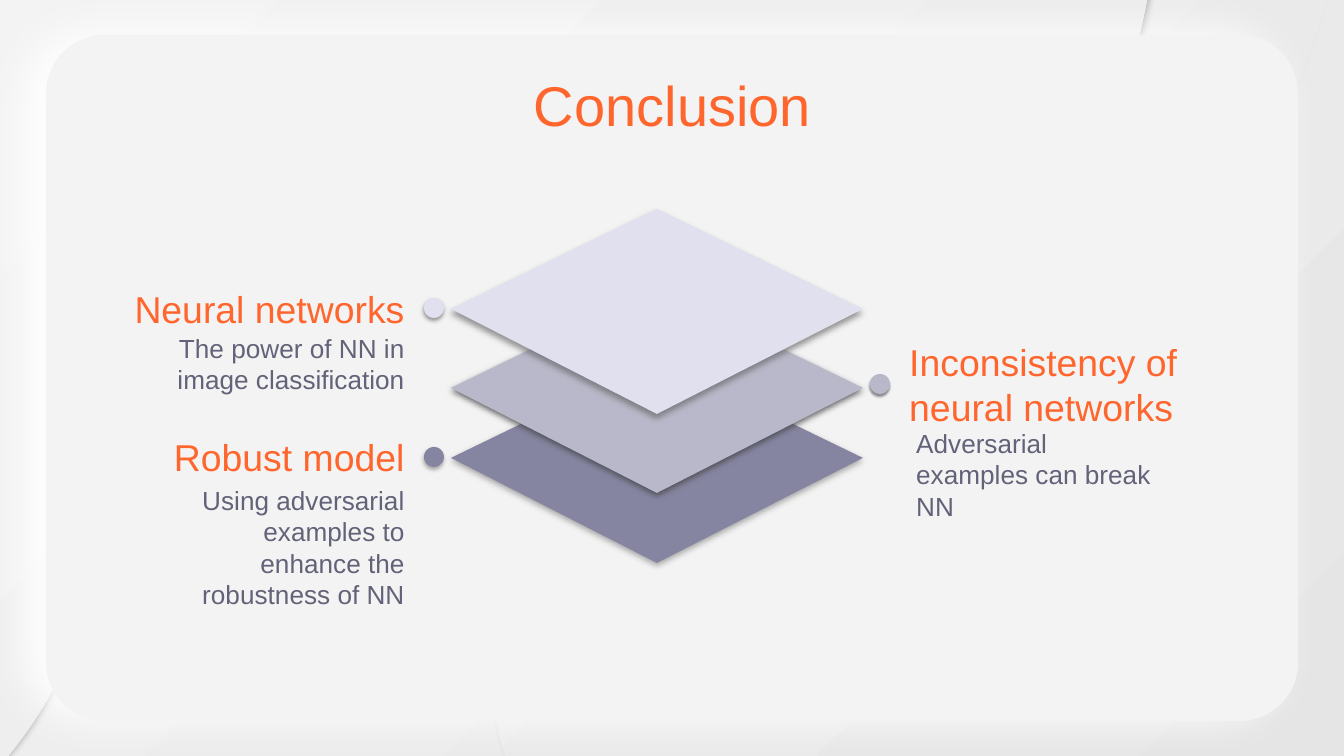
from lxml import etree
from pptx import Presentation, util as u
from pptx.dml.color import RGBColor
from pptx.enum import shapes, text
from pptx.oxml.ns import qn

PX = 914400 / 134.4
ORANGE, GREY = "FF662E", "626279"
GRADIENT = ["F3F3F3", "E5E5E5"]
LEFT, CENTER, RIGHT = text.PP_ALIGN.LEFT, text.PP_ALIGN.CENTER, text.PP_ALIGN.RIGHT
TOP, MIDDLE = text.MSO_ANCHOR.TOP, text.MSO_ANCHOR.MIDDLE

TITLE = ("Conclusion", (108, 57, 1129, 93))
HEADINGS = [
    ("Neural networks", (101, 294, 317, 30), RIGHT),
    ("Robust model", (144, 442, 274, 30), RIGHT),
    ("Inconsistency of neural networks", (896, 369, 348, 30), LEFT),
]
DETAILS = [
    ("The power of NN in image classification", (144, 319, 274, 93), RIGHT),
    ("Using adversarial examples to enhance the robustness of NN", (144, 471, 274, 93), RIGHT),
    ("Adversarial examples can break NN", (903, 414, 274, 86), LEFT),
]
LAYERS = [
    {"color": "8585A1", "top": 358, "dot": (424, 447),
     "shade": ("434343", 43, 3.4, 1.5, 98), "dot_shade": ("434343", 43, 2.2, 1.5, 100)},
    {"color": "B8B8CA", "top": 288, "dot": (870, 374),
     "shade": ("434343", 78, 3.4, 1.5, 101), "dot_shade": ("434343", 58, 1.1, 1.5, 94)},
    {"color": "E0E0EE", "top": 209, "dot": (424, 298),
     "shade": ("666666", 68, 3.4, 2.2, 101), "dot_shade": ("666666", 68, 2.2, 1.5, 100)},
]
DIAMOND = [(657, 0), (451, 100), (657, 205), (863, 100)]
DOT = 20
WAVE = [
    [(1239, 176)],
    [(1146, 274), (989, 290), (1077, 176)],
    [(1126, 112), (1146, 20), (1154, -46)],
    [(0, -46)],
    [(0, 766)],
    [(23, 738), (65, 688), (91, 593)],
    [(171, 343), (366, 333), (444, 425)],
    [(531, 528), (418, 790), (613, 876)],
    [(1344, 876)],
    [(1344, -46)],
    [(1339, -46)],
    [(1329, 9), (1304, 109), (1239, 176)],
]


def px(value):
    return u.Emu(round(value * PX))


def rgb(color):
    return RGBColor.from_string(color)


def apply(target, values):
    for name, value in values.items():
        setattr(target, name, value)


def place(shape, area):
    apply(shape, dict(zip(("left", "top", "width", "height"), map(px, area))))


def fill_gradient(fill):
    fill.gradient()
    fill.gradient_angle = 315
    for stop, color in zip(fill.gradient_stops, GRADIENT):
        stop.color.rgb = rgb(color)


def finish(shape, shade, color=None):
    shape.line.fill.background()
    if color:
        shape.fill.solid()
        shape.fill.fore_color.rgb = rgb(color)
    else:
        fill_gradient(shape.fill)
    shape.shadow.inherit = False
    tint, alpha, blur, distance, angle = shade
    effects = shape.element.spPr.find(qn("a:effectLst"))
    shadow = etree.SubElement(effects, qn("a:outerShdw"), blurRad=str(u.Pt(blur)),
                              dist=str(u.Pt(distance)), dir=str(angle * 60000),
                              algn="bl", rotWithShape="0")
    ink = etree.SubElement(shadow, qn("a:srgbClr"), val=tint)
    etree.SubElement(ink, qn("a:alpha"), val=str(alpha * 1000))


def outline(page, points):
    builder = page.shapes.build_freeform(*points[0], scale=PX)
    builder.add_line_segments(points[1:], close=True)
    return builder.convert_to_shape()


def curved_outline(page, segments):
    ends = [segment[-1] for segment in segments]
    left, top = map(min, zip(*ends))
    shape = outline(page, ends)
    lines = list(shape.element.iter(qn("a:lnTo")))
    for line, segment in zip(lines, segments[1:]):
        if len(segment) == 1:
            continue
        curve = etree.Element(qn("a:cubicBezTo"))
        for x, y in segment:
            etree.SubElement(curve, qn("a:pt"), x=str(x - left), y=str(y - top))
        line.getparent().replace(line, curve)
    return shape


def write(box, words, area, align, anchor, size, color, after=0):
    place(box, area)
    frame = box.text_frame
    inset = u.Inches(0.1)
    apply(frame, {"word_wrap": True, "auto_size": text.MSO_AUTO_SIZE.NONE,
                  "vertical_anchor": anchor, "margin_left": inset, "margin_right": inset,
                  "margin_top": inset, "margin_bottom": inset})
    para = frame.paragraphs[0]
    apply(para, {"alignment": align, "space_before": u.Pt(0),
                 "space_after": u.Pt(after), "line_spacing": 1.0})
    span = para.add_run()
    span.text = words
    apply(span.font, {"name": "Arial", "size": u.Pt(size)})
    span.font.color.rgb = rgb(color)


def main():
    deck = Presentation()
    apply(deck, {"slide_width": px(1344), "slide_height": px(756)})
    page = deck.slides.add_slide(deck.slide_layouts[5])
    fill_gradient(page.background.fill)

    finish(curved_outline(page, WAVE), ("B7B7B7", 91, 2.2, 1.5, 0))
    panel = page.shapes.add_shape(shapes.MSO_SHAPE.ROUNDED_RECTANGLE,
                                  *map(px, (46, 35, 1252, 686)))
    panel.adjustments[0] = 0.085
    finish(panel, ("FFFFFF", 100, 24.8, 11.2, 185), "F3F3F3")

    for layer in LAYERS:
        diamond = outline(page, [(x, layer["top"] + y) for x, y in DIAMOND])
        finish(diamond, layer["shade"], layer["color"])
        dot = page.shapes.add_shape(shapes.MSO_SHAPE.OVAL,
                                    *map(px, (*layer["dot"], DOT, DOT)))
        finish(dot, layer["dot_shade"], layer["color"])

    title = page.shapes.title
    title.element.getparent().append(title.element)
    write(title, *TITLE, CENTER, TOP, 30, ORANGE)
    for heading, detail in zip(HEADINGS, DETAILS):
        write(page.shapes.add_textbox(0, 0, 0, 0), *heading, MIDDLE, 20, ORANGE)
        write(page.shapes.add_textbox(0, 0, 0, 0), *detail, TOP, 14, GREY, 16)

    deck.save("out.pptx")


if __name__ == "__main__":
    main()
